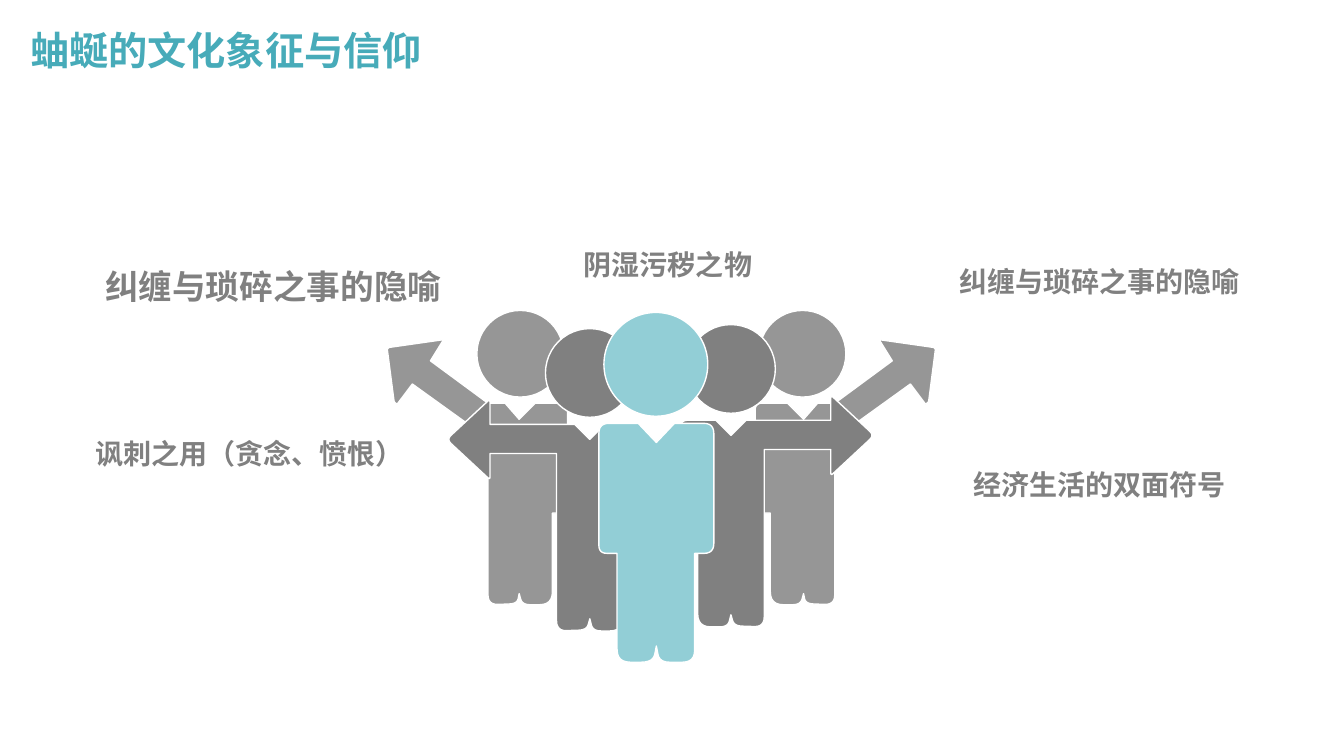
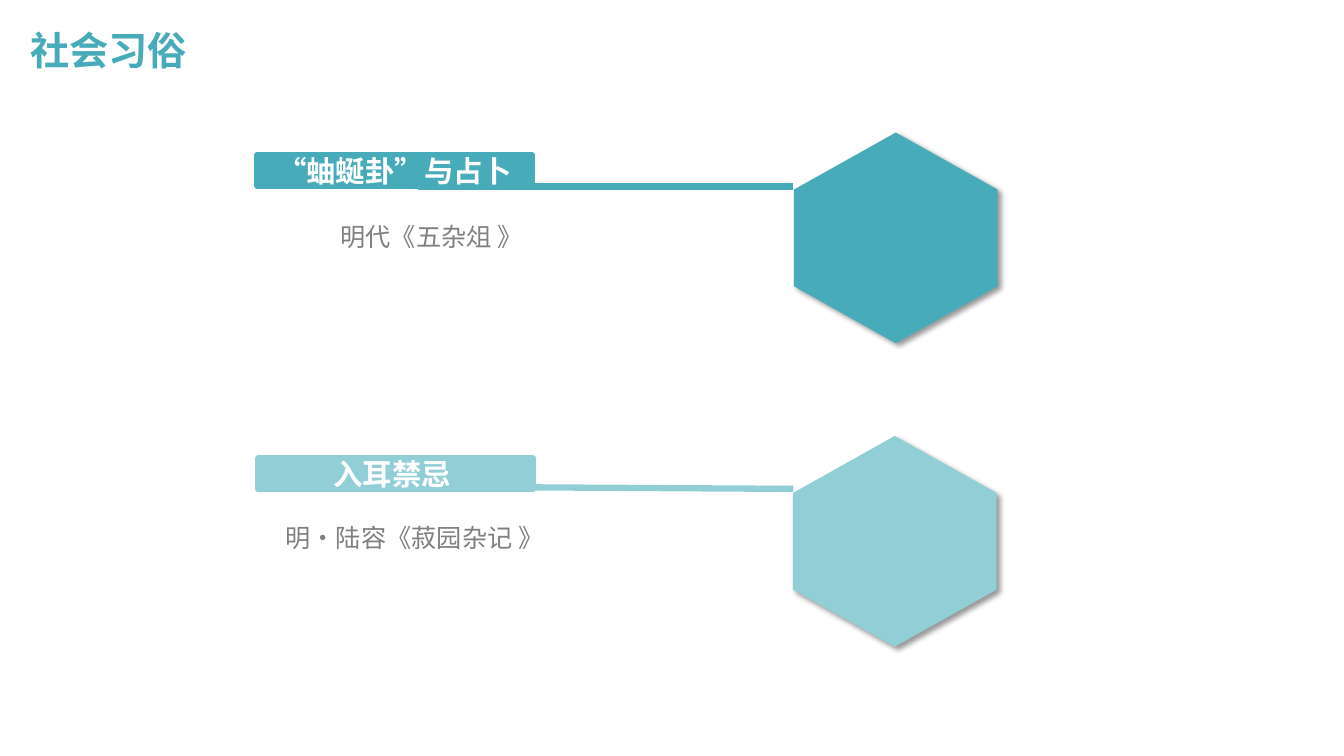
from lxml.etree import SubElement
from pptx import Presentation
from pptx.dml.color import RGBColor
from pptx.enum.shapes import MSO_CONNECTOR, MSO_SHAPE
from pptx.enum.text import MSO_ANCHOR, MSO_AUTO_SIZE, PP_ALIGN
from pptx.oxml.ns import qn
from pptx.util import Inches, Pt

TEAL, AQUA, GREY, SILVER, WHITE = "47ABB9", "92CED6", "808080", "969696", "FFFFFF"
CJK = "Noto Sans CJK SC"


def paint(shape, fill, line=None, weight=1):
    """Flat fill, optional outline, no shadow."""
    shape.shadow.inherit = False
    shape.fill.solid()
    shape.fill.fore_color.rgb = RGBColor.from_string(fill)
    if line:
        shape.line.color.rgb = RGBColor.from_string(line)
        shape.line.width = Pt(weight)
    else:
        shape.line.fill.background()


def write(shape, text, size, color, font=CJK, bold=True, align=PP_ALIGN.CENTER,
          spacing=1.0, margins=(0.13, 0.07), anchor=MSO_ANCHOR.TOP):
    """One formatted paragraph in a shape."""
    frame = shape.text_frame
    frame.text = text
    frame.word_wrap = True
    frame.vertical_anchor = anchor
    frame.margin_left = frame.margin_right = Inches(margins[0])
    frame.margin_top = frame.margin_bottom = Inches(margins[1])
    para = frame.paragraphs[0]
    para.alignment, para.line_spacing = align, spacing
    span = para.runs[0]
    span.font.size, span.font.bold, span.font.name = Pt(size), bold, font
    span.font.color.rgb = RGBColor.from_string(color)
    SubElement(span.font._element, qn("a:ea"), typeface=CJK)


deck = Presentation()
deck.slide_width, deck.slide_height = Inches(13.33), Inches(7.5)

# Shared title position, kept on the layout
layout = deck.slide_layouts[5]
heading = layout.placeholders[0]
heading.left, heading.top = Inches(0.2), Inches(0.2)
heading.width, heading.height = Inches(11.5), Inches(0.64)

pages = []
for title in ("蚰蜒的文化象征与信仰", "社会习俗"):
    page = deck.slides.add_slide(layout)
    write(page.shapes.title, title, 28, TEAL, "Montserrat", align=PP_ALIGN.LEFT,
          spacing=0.9, margins=(0.1, 0.05), anchor=MSO_ANCHOR.MIDDLE)
    pages.append(page)
culture, customs = pages

# Slide 1: people. Outline corners are x, y, rounding radius
back_body = [
    (3.84, 3.45, 0.03), (4.4, 3.37, 0.02), (4.27, 3.58, 0), (4.84, 4, 0),
    (5.01, 4, 0), (5.15, 4.16, 0), (5.31, 4, 0), (5.63, 4, 0.07),
    (5.63, 5.09, 0.05), (5.48, 5.09, 0), (5.48, 6, 0.13), (5.18, 6, 0.08),
    (5.15, 5.89, 0), (5.13, 5.99, 0.08), (4.84, 6, 0.1), (4.84, 4.35, 0),
    (4.09, 3.81, 0), (3.94, 4.01, 0), (3.91, 3.99, 0.02)]
front_body = [
    (4.43, 4.36, 0.06), (4.86, 3.96, 0.03), (4.86, 4.21, 0), (5.7, 4.21, 0),
    (5.85, 4.36, 0), (6, 4.21, 0), (6.35, 4.21, 0.07), (6.35, 5.32, 0.06),
    (6.18, 5.32, 0), (6.18, 6.26, 0.13), (5.88, 6.26, 0.08), (5.85, 6.14, 0),
    (5.82, 6.25, 0.08), (5.52, 6.26, 0.1), (5.52, 4.5, 0), (4.86, 4.5, 0),
    (4.86, 4.76, 0.03)]
leader_body = [
    (6.51, 4.39, 0), (6.69, 4.2, 0), (7.08, 4.2, 0.1), (7.08, 5.49, 0.1),
    (6.89, 5.49, 0), (6.89, 6.57, 0.12), (6.54, 6.57, 0.1), (6.51, 6.41, 0),
    (6.48, 6.57, 0.12), (6.12, 6.57, 0.13), (6.12, 5.49, 0),
    (5.94, 5.49, 0.08), (5.94, 4.2, 0.1), (6.33, 4.2, 0)]

# Body, head (left, top, size), colour, mirror sum (0 = not mirrored), rise
people = [
    (back_body, (4.73, 3.08, 0.86), SILVER, 13.12, 0),
    (back_body, (4.73, 3.08, 0.86), SILVER, 0, 0),
    (front_body, (5.41, 3.26, 0.88), GREY, 0, 0),
    (front_body, (5.41, 3.26, 0.88), GREY, 13.1, 0.04),
    (leader_body, (5.99, 3.1, 1.03), AQUA, 0, 0),
]
for body, (left, top, size), color, mirror, rise in people:
    outline = []
    for index, (x, y, radius) in enumerate(body):
        if not radius:
            outline.append((x, y))
            continue
        ends = []
        for near_x, near_y, _ in (body[index - 1], body[(index + 1) % len(body)]):
            length = ((near_x - x) ** 2 + (near_y - y) ** 2) ** 0.5
            part = min(radius / length, 0.5)
            ends.append((x + (near_x - x) * part, y + (near_y - y) * part))
        (start_x, start_y), (end_x, end_y) = ends
        for step in range(7):
            t = step / 6
            a, b, c = (1 - t) ** 2, 2 * t * (1 - t), t ** 2
            outline.append((a * start_x + b * x + c * end_x,
                            a * start_y + b * y + c * end_y))
    if mirror:
        outline = [(mirror - x, y) for x, y in outline]
        left = mirror - left - size
    points = [(Inches(x), Inches(y - rise)) for x, y in outline]

    person = culture.shapes.add_group_shape()
    builder = person.shapes.build_freeform(*points[0])
    builder.add_line_segments(points[1:], close=True)
    paint(builder.convert_to_shape(), color, WHITE)
    head = person.shapes.add_shape(MSO_SHAPE.OVAL, Inches(left), Inches(top - rise),
                                   Inches(size), Inches(size))
    paint(head, color, WHITE)

# Slide 1: captions
captions = [
    ("纠缠与琐碎之事的隐喻", 9.37, 2.49, 3.07, 0.5, 20),
    ("经济生活的双面符号", 9.51, 4.5, 2.79, 0.5, 20),
    ("\t纠缠与琐碎之事的隐喻", 0.38, 2.49, 4.16, 0.58, 24),
    ("讽刺之用（贪念、愤恨）", 0.74, 4.19, 3.47, 0.5, 20),
    ("阴湿污秽之物", 5.65, 2.32, 1.95, 0.5, 20),
]
for text, left, top, width, height, size in captions:
    box = culture.shapes.add_textbox(Inches(left), Inches(top),
                                     Inches(width), Inches(height))
    write(box, text, size, GREY, "Arial", spacing=1.2)
    box.text_frame.auto_size = MSO_AUTO_SIZE.SHAPE_TO_FIT_TEXT

# Slide 2: label, rule, hexagon and source for each custom
customs_rows = [
    ("“蚰蜒卦”与占卜", TEAL, (2.55, 1.54), (4.15, 1.85, 1.85), (7.84, 1.35),
     "明代《五杂俎 》", (2.59, 2.06)),
    ("入耳禁忌 ", AQUA, (2.56, 4.55), (2.7, 4.82, 4.85), (7.83, 4.36),
     "明·陆容《菽园杂记 》", (2.42, 5.04)),
]
for label, color, label_at, (start, start_y, end_y), hexagon_at, source, source_at in customs_rows:
    rule = customs.shapes.add_connector(MSO_CONNECTOR.STRAIGHT, Inches(start),
                                        Inches(start_y), Inches(7.87), Inches(end_y))
    rule.line.color.rgb = RGBColor.from_string(color)
    rule.line.width = Pt(4.5)
    SubElement(rule._element.spPr, qn("a:effectLst"))

    bar = customs.shapes.add_shape(MSO_SHAPE.RECTANGLE, *map(Inches, label_at),
                                   Inches(2.73), Inches(0.3))
    paint(bar, color, color, 4.5)
    write(bar, label, 21, WHITE, anchor=MSO_ANCHOR.MIDDLE)

    hexagon = customs.shapes.add_shape(MSO_SHAPE.HEXAGON, *map(Inches, hexagon_at),
                                       Inches(2.09), Inches(2.02))
    hexagon.rotation = 270
    hexagon.adjustments[0] = 0.28
    paint(hexagon, color)
    effects = hexagon._element.spPr.find(qn("a:effectLst"))
    shadow = SubElement(effects, qn("a:outerShdw"), blurRad=str(Pt(4)), dist=str(Pt(3)),
                        dir="2700000", algn="tl", rotWithShape="0")
    black = SubElement(shadow, qn("a:srgbClr"), val="000000")
    SubElement(black, qn("a:alpha"), val="40000")

    box = customs.shapes.add_textbox(*map(Inches, source_at), Inches(3.38), Inches(0.46))
    write(box, source, 18, GREY, bold=False, spacing=1.3, margins=(0.1, 0.05))
    box.text_frame.auto_size = MSO_AUTO_SIZE.SHAPE_TO_FIT_TEXT

deck.save("out.pptx")
